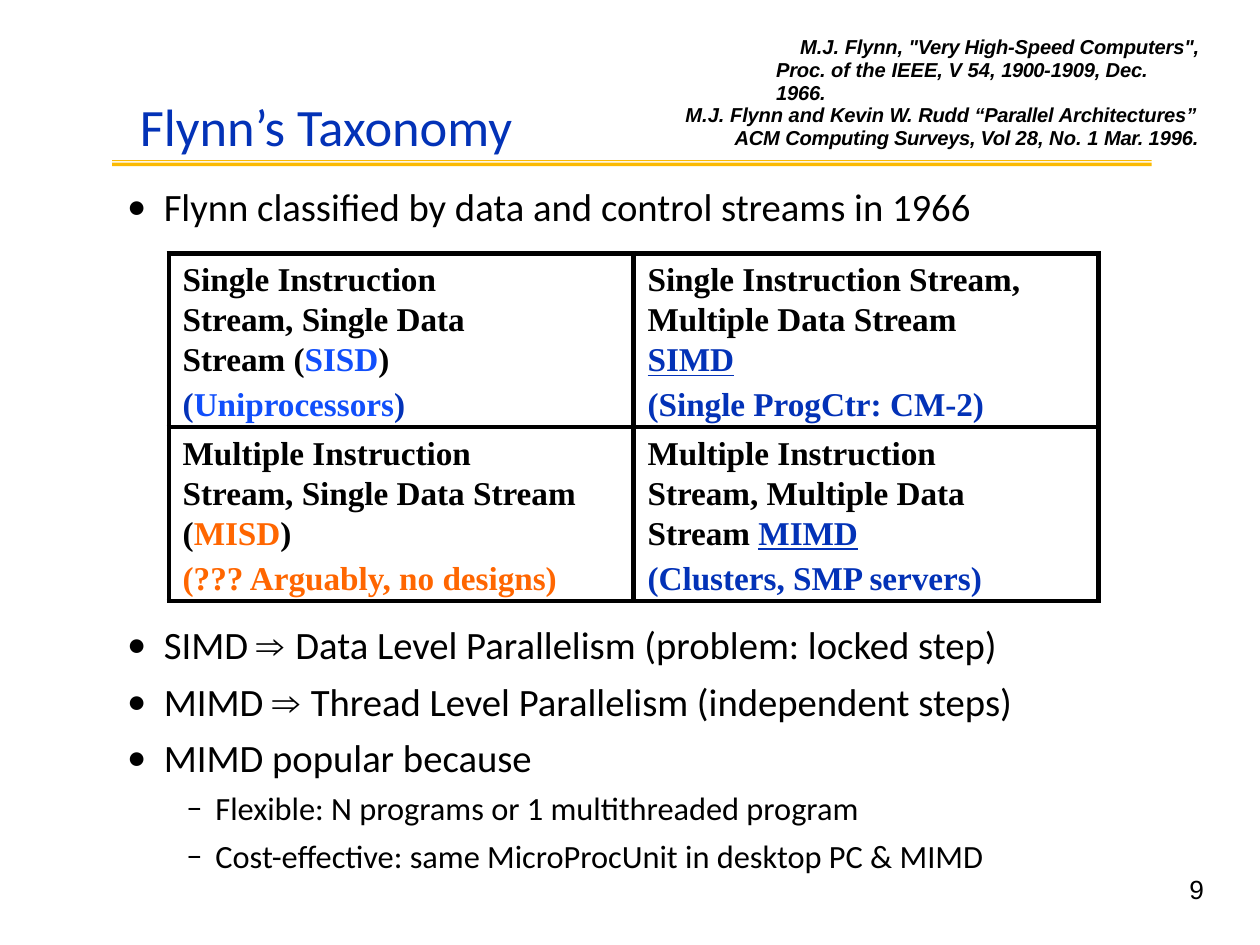
from lxml.etree import SubElement
from pptx import Presentation
from pptx.dml.color import RGBColor
from pptx.enum.shapes import MSO_SHAPE
from pptx.enum.text import MSO_ANCHOR, PP_ALIGN
from pptx.oxml.ns import qn
from pptx.util import Inches, Pt

prs = Presentation()
prs.slide_width, prs.slide_height = Inches(10), Inches(7.5)
COL, ROW = prs.slide_width / 100, prs.slide_height / 75

BLACK, NAVY, BLUE = "000000", "0332B7", "114FFB"
ORANGE, GOLD = "FF6600", "FBBA03"


def rgb(value):
    return RGBColor.from_string(value)


def grid(left, top, width, height):
    """Turn columns and rows into slide lengths."""
    return [round(n * unit) for n, unit in
            zip((left, top, width, height), (COL, ROW, COL, ROW))]


def add_run(p, text, font, size, color=BLACK, bold=False, italic=False,
            underline=False, spacing=0):
    """Add a run without pair kerning."""
    r = p.add_run()
    r.text = text
    r.font.name, r.font.size = font, Pt(size)
    r.font.bold, r.font.italic, r.font.underline = bold, italic, underline
    r.font.color.rgb = rgb(color)
    rPr = r._r.get_or_add_rPr()
    rPr.set("kern", "0")
    if spacing:
        rPr.set("spc", str(round(spacing * 100)))


def indent(p, left, first=0):
    pPr = p._p.get_or_add_pPr()
    pPr.set("marL", str(Inches(left)))
    pPr.set("indent", str(Inches(first)))
    return pPr


def prepare_frame(tf, top=0):
    tf.word_wrap = True
    tf.vertical_anchor = MSO_ANCHOR.TOP
    tf.margin_left = tf.margin_right = tf.margin_bottom = 0
    tf.margin_top = Inches(top)
    return tf


def add_text_box(s, box, top=0):
    return prepare_frame(s.shapes.add_textbox(*grid(*box)).text_frame, top)


def add_title(s, box, text):
    title = s.shapes.title
    title.left, title.top, title.width, title.height = grid(*box)
    p = prepare_frame(title.text_frame, 0.01).paragraphs[0]
    p.alignment = PP_ALIGN.LEFT
    indent(p, 0.01)
    add_run(p, text, "Calibri", 30, NAVY)


def add_rule(s, box):
    """Draw a double rule: a thin bar above a thick one."""
    left, top, width, height = box
    for offset, share in ((0, 0.2), (0.4, 0.6)):
        sp = s.shapes.add_shape(MSO_SHAPE.RECTANGLE, *grid(
            left, top + offset * height, width, share * height))
        sp.shadow.inherit = False
        sp.fill.solid()
        sp.fill.fore_color.rgb = rgb(GOLD)
        sp.line.fill.background()


def add_reference(s, box, top, left, first, runs):
    p = add_text_box(s, box, top).paragraphs[0]
    p.line_spacing = Pt(13.25)
    indent(p, left, first)
    for text, spacing in runs:
        add_run(p, text, "Arial", 11.5, bold=True, italic=True, spacing=spacing)


def add_bullets(s, box, top, items):
    """Each item is its level, the space before it and its text."""
    tf = add_text_box(s, box, top)
    for i, (level, before, text) in enumerate(items):
        p = tf.add_paragraph() if i else tf.paragraphs[0]
        p.level = level
        p.space_before = Pt(before)
        mark, left, first, size = (("•", 0.3, -0.29, 22.1),
                                   ("–", 0.71, -0.23, 18.5))[level]
        pPr = indent(p, left, first)
        SubElement(pPr, qn("a:buFont"), typeface="Calibri")
        SubElement(pPr, qn("a:buChar"), char=mark)
        head, arrow, tail = text.partition("⇒ ")
        for part, font in ((head, "Calibri"), (arrow, "Arial"), (tail, "Calibri")):
            if part:
                add_run(p, part, font, size)


def add_borders(cell):
    tcPr = cell._tc.get_or_add_tcPr()
    for side in ("lnL", "lnR", "lnT", "lnB"):
        ln = SubElement(tcPr, qn(f"a:{side}"), w=str(Pt(3)))
        fill = SubElement(ln, qn("a:solidFill"))
        SubElement(fill, qn("a:srgbClr"), val=BLACK)


def fill_cell(cell, right, name_runs, example_runs):
    cell.margin_left = cell.margin_bottom = 0
    cell.margin_top, cell.margin_right = Inches(0.04), Inches(right)
    add_borders(cell)
    cell.fill.background()
    tf = cell.text_frame
    name, example = tf.paragraphs[0], tf.add_paragraph()
    name.line_spacing = Pt(23)
    example.space_before = Pt(4.5)
    for p, runs in ((name, name_runs), (example, example_runs)):
        indent(p, 0.11)
        for text, color, *underline in runs:
            add_run(p, text, "Times New Roman", 19, color, bold=True,
                    underline=bool(underline))


def add_taxonomy(s, box, rows):
    table = s.shapes.add_table(len(rows), len(rows[0]), *grid(*box)).table
    table.first_row = table.horz_banding = False
    for i, row in enumerate(rows):
        for j, content in enumerate(row):
            fill_cell(table.cell(i, j), *content)


def add_slide_number(s, box, text):
    p = add_text_box(s, box).paragraphs[0]
    p.line_spacing = Pt(17.5)
    indent(p, 0.15)
    add_run(p, text, "Arial", 15)


TAXONOMY = [
    [(0.98,
      [("Single Instruction Stream, Single Data Stream (", BLACK),
       ("SISD", BLUE), (")", BLACK)],
      [("(", NAVY), ("Uniprocessors", BLUE), (")", NAVY)]),
     (0.5,
      [("Single Instruction Stream, Multiple Data Stream ", BLACK),
       ("SIMD", NAVY, True)],
      [("(Single ProgCtr: CM-2)", NAVY)])],
    [(0.42,
      [("Multiple Instruction Stream, Single Data Stream (", BLACK),
       ("MISD", ORANGE), (")", BLACK)],
      [("(??? Arguably, no designs)", ORANGE)]),
     (0.73,
      [("Multiple Instruction Stream, Multiple Data Stream ", BLACK),
       ("MIMD", NAVY, True)],
      [("(Clusters, SMP servers)", NAVY)])],
]

s = prs.slides.add_slide(prs.slide_layouts[5])
add_rule(s, (8.9, 12.7, 82.5, 0.5))
add_title(s, (11, 7.4, 31.4, 5.2), "Flynn’s Taxonomy")
add_bullets(s, (10, 14.4, 69.7, 3.8), 0.01, [
    (0, 0, "Flynn classified by data and control streams in 1966")])
add_bullets(s, (10, 48.3, 73.8, 21.2), 0.1, [
    (0, 0, "SIMD ⇒ Data Level Parallelism (problem: locked step)"),
    (0, 6.1, "MIMD ⇒ Thread Level Parallelism (independent steps)"),
    (0, 5.3, "MIMD popular because"),
    (1, 4.4, "Flexible: N programs or 1 multithreaded program"),
    (1, 5.3, "Cost-effective: same MicroProcUnit in desktop PC & MIMD")])
add_taxonomy(s, (13.4, 20.1, 73.8, 27.6), TAXONOMY)
add_reference(s, (61.5, 2.6, 33.7, 3.9), 0.02, 0.01, 0.19, [
    ("M.J. ", 0), ("Flynn, ", -0.1), ("\"Very High-", -0.2),
    ("Speed Computers\", Proc. ", -0.1), ("of the IEEE, V 54, ", 0),
    ("1900-", -0.3), ("1909, Dec. 1966.", -0.1)])
add_reference(s, (54.3, 8, 40.9, 3.9), 0.02, 0.4, -0.39, [
    ("M.J. ", 0), ("Flynn ", -0.1), ("and ", 0), ("Kevin ", -0.1), ("W. ", 0),
    ("Rudd ", -0.1), ("“Parallel ", -0.2), ("Architectures” ACM ", -0.1),
    ("Computing Surveys, Vol ", -0.2), ("28, No. 1 ", 0), ("Mar. ", -0.2),
    ("1996.", -0.1)])
add_slide_number(s, (92.9, 69.4, 4.1, 4.8), "9")
prs.save("out.pptx")
